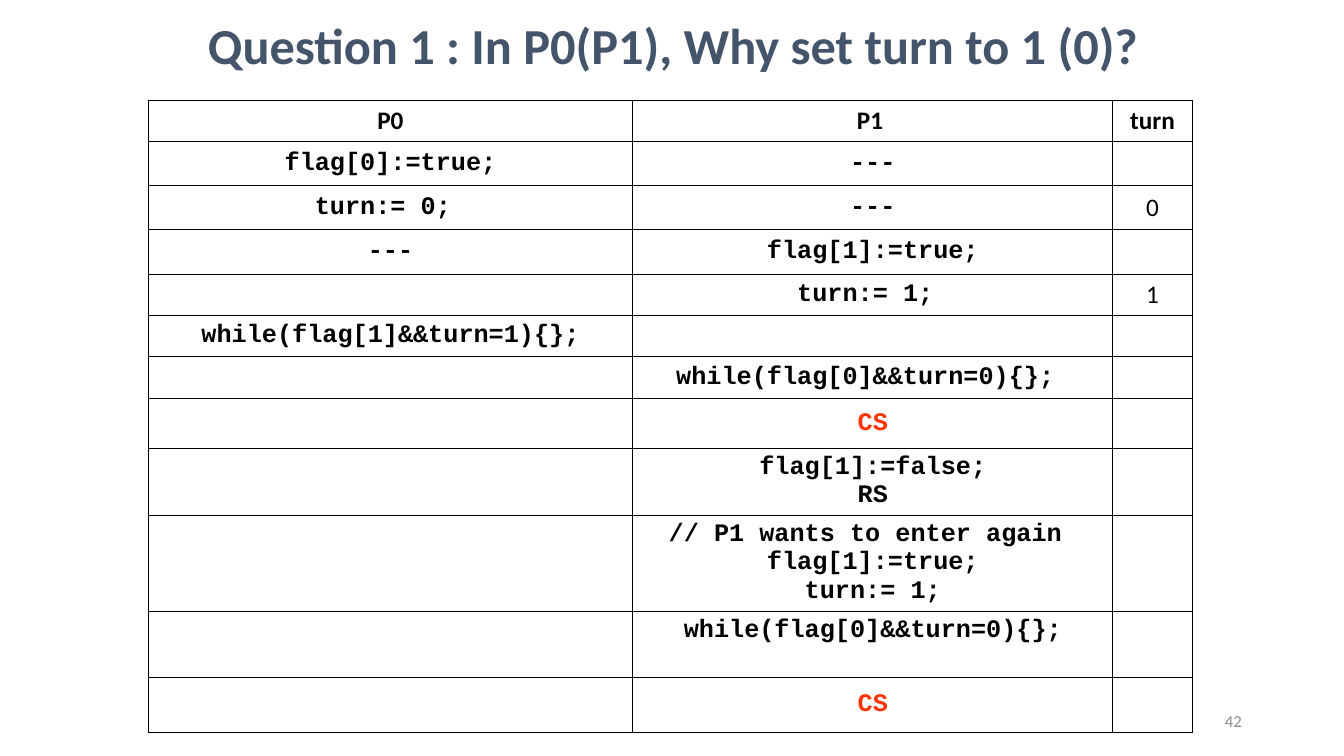
from pptx import Presentation
from pptx.util import Cm, Pt
from pptx.dml.color import RGBColor
from pptx.enum import text
from pptx.oxml import parse_xml
from pptx.oxml.ns import nsdecls

COLORS = {"title": "44546A", "text": "000000", "critical": "FF3300",
          "number": "8C8C8C", "border": "000000"}
BODY, CODE = "Calibri", "Courier New"
COL_WIDTHS = [12.22, 12.09, 2.01]

# Row height, P0 step, P1 step, value of turn
ROWS = [
    (1.04, "P0", "P1 ", "turn"),
    (1.11, "flag[0]:=true;", "---", ""),
    (1.11, "turn:= 0; ", "---", "0"),
    (1.13, "---", "flag[1]:=true;", ""),
    (1.04, "", "turn:= 1; ", "1"),
    (1.02, "while(flag[1]&&turn=1){};", "", ""),
    (1.07, "", "while(flag[0]&&turn=0){}; ", ""),
    (1.24, "", "CS", ""),
    (1.68, "", "flag[1]:=false;\nRS", ""),
    (2.41, "", "// P1 wants to enter again \nflag[1]:=true;\nturn:= 1;", ""),
    (1.68, "", "while(flag[0]&&turn=0){};", ""),
    (1.37, "", "CS", ""),
]
TOP_ROW = 10  # the only row whose text sits at the top


def write(tf, content, size, color, font=BODY, bold=False,
          align=text.PP_ALIGN.CENTER):
    tf.text = content
    for p in tf.paragraphs:
        p.alignment = align
        for r in p.runs:
            r.font.name, r.font.size, r.font.bold = font, Pt(size), bold
            r.font.color.rgb = RGBColor.from_string(COLORS[color])


def add_label(s, box, content, size, color, **style):
    tf = s.shapes.add_textbox(*map(Cm, box)).text_frame
    tf.word_wrap = True
    tf.margin_top = tf.margin_bottom = 0
    tf.vertical_anchor = text.MSO_ANCHOR.MIDDLE
    write(tf, content, size, color, **style)
    return tf


def add_borders(cell):
    tcPr = cell._tc.get_or_add_tcPr()
    for side in "LRTB":
        tcPr.append(parse_xml(
            f'<a:ln{side} {nsdecls("a")} w="{Pt(0.75)}"><a:solidFill>'
            f'<a:srgbClr val="{COLORS["border"]}"/></a:solidFill></a:ln{side}>'))


def add_trace_table(s, left, top):
    width, height = sum(COL_WIDTHS), sum(row[0] for row in ROWS)
    table = s.shapes.add_table(len(ROWS), len(COL_WIDTHS), Cm(left), Cm(top),
                               Cm(width), Cm(height)).table
    table.first_row = table.horz_banding = False
    for column, col_width in zip(table.columns, COL_WIDTHS):
        column.width = Cm(col_width)
    for i, (row_height, *steps) in enumerate(ROWS):
        table.rows[i].height = Cm(row_height)
        for j, step in enumerate(steps):
            cell = table.cell(i, j)
            write(cell.text_frame, step, 18,
                  "critical" if step == "CS" else "text",
                  font=BODY if i == 0 or j == 2 else CODE,
                  bold=i == 0 or j < 2)
            cell.vertical_anchor = (text.MSO_ANCHOR.TOP if i == TOP_ROW
                                    else text.MSO_ANCHOR.MIDDLE)
            add_borders(cell)
            cell.fill.background()


def main():
    prs = Presentation()
    prs.slide_width, prs.slide_height = Cm(33.87), Cm(19.05)
    s = prs.slides.add_slide(prs.slide_layouts[6])

    # Execution trace of both processes
    add_trace_table(s, 3.73, 2.52)

    # Title
    tf = add_label(s, (1.73, 0.2, 30.48, 1.7),
                   "Question 1 : In P0(P1), Why set turn to 1 (0)?",
                   36, "title", bold=True)
    tf.paragraphs[0].line_spacing = 1.1

    # Slide number
    add_label(s, (23.93, 17.65, 7.62, 1.02), "42", 12, "number",
              align=text.PP_ALIGN.RIGHT)

    prs.save("out.pptx")


if __name__ == "__main__":
    main()
